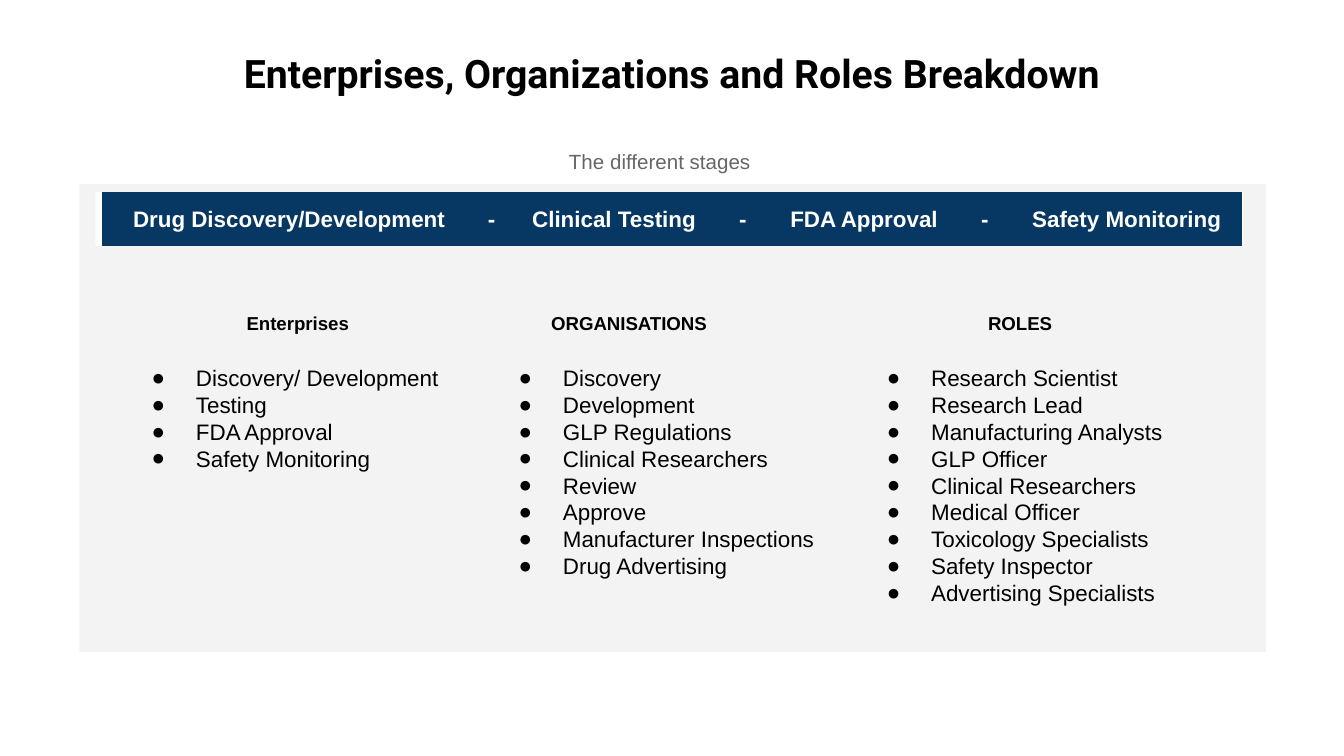
import pptx
import pptx.util
import pptx.dml.color
import pptx.enum.shapes
import pptx.enum.text
import pptx.oxml.ns
from lxml import etree

Inches = pptx.util.Inches
ALIGN = pptx.enum.text.PP_ALIGN
ANCHOR = pptx.enum.text.MSO_ANCHOR
FIT = pptx.enum.text.MSO_AUTO_SIZE

STAGES = ["Drug Discovery/Development", "Clinical Testing",
          "FDA Approval", "Safety Monitoring"]
STAGE_TABS = [2.64, 2.97, 4.51, 4.89, 6.31, 6.69]

# Heading, heading left and width, list left and height, list items
COLUMNS = [
    ("Enterprises", 1.69, 1.05, 0.86, 1.01,
     ["Discovery/ Development", "Testing", "FDA Approval",
      "Safety Monitoring"]),
    ("ORGANISATIONS", 3.91, 1.54, 3.59, 1.82,
     ["Discovery", "Development", "GLP Regulations", "Clinical Researchers",
      "Review", "Approve", "Manufacturer Inspections", "Drug Advertising"]),
    ("ROLES", 6.92, 1.34, 6.33, 2.02,
     ["Research Scientist", "Research Lead", "Manufacturing Analysts",
      "GLP Officer", "Clinical Researchers", "Medical Officer",
      "Toxicology Specialists", "Safety Inspector",
      "Advertising Specialists"]),
]


def paint(color, value):
    color.rgb = pptx.dml.color.RGBColor.from_string(value)


def add_node(parent, tag, **attrs):
    return etree.SubElement(parent, pptx.oxml.ns.qn(tag), attrs)


def set_frame(frame, fit=FIT.SHAPE_TO_FIT_TEXT, anchor=ANCHOR.TOP):
    frame.word_wrap = True
    frame.auto_size = fit
    frame.vertical_anchor = anchor
    frame.margin_left = frame.margin_right = Inches(0.1)
    frame.margin_top = frame.margin_bottom = Inches(0.1)


def style(frame, size, color="000000", bold=False, align=ALIGN.CENTER,
          font="Arial"):
    for para in frame.paragraphs:
        para.alignment = align
        for run in para.runs:
            run.font.name = font
            run.font.size = pptx.util.Pt(size)
            run.font.bold = bold
            paint(run.font.color, color)


def add_rect(slide, left, top, width, height, fill):
    rect = slide.shapes.add_shape(
        pptx.enum.shapes.MSO_SHAPE.RECTANGLE,
        Inches(left), Inches(top), Inches(width), Inches(height))
    rect.shadow.inherit = False
    rect.fill.solid()
    paint(rect.fill.fore_color, fill)
    rect.line.fill.background()
    return rect


def add_text(slide, text, left, top, width, height):
    box = slide.shapes.add_textbox(
        Inches(left), Inches(top), Inches(width), Inches(height))
    set_frame(box.text_frame)
    box.text_frame.text = text
    return box.text_frame


def set_title(slide, text):
    title = slide.shapes.title
    title.left, title.top = Inches(0), Inches(0.25)
    title.width, title.height = Inches(10), Inches(0.57)
    set_frame(title.text_frame, FIT.NONE, ANCHOR.BOTTOM)
    title.text_frame.text = text
    style(title.text_frame, 21, bold=True, font="Roboto")


def add_banner(slide):
    """Draw the stage bar, its names and dashes placed by tab stops."""
    frame = add_rect(slide, 0.76, 1.43, 8.48, 0.4, "073763").text_frame
    set_frame(frame)
    frame.margin_left, frame.margin_right = Inches(0.23), Inches(0)
    frame.text = "\t-\t".join(STAGES)
    tabs = add_node(frame.paragraphs[0]._p.get_or_add_pPr(), "a:tabLst")
    for stop in STAGE_TABS:
        add_node(tabs, "a:tab", pos=str(Inches(stop)), algn="l")
    style(frame, 12, "FFFFFF", bold=True, align=ALIGN.LEFT)


def add_list(slide, items, left, height):
    frame = add_text(slide, "\n".join(items), left, 2.61, 2.62, height)
    for para in frame.paragraphs:
        props = para._p.get_or_add_pPr()
        props.set("marL", str(Inches(0.5)))
        props.set("indent", str(Inches(-0.33)))
        add_node(add_node(props, "a:buClr"), "a:srgbClr", val="000000")
        add_node(props, "a:buSzPts", val="1200")
        add_node(props, "a:buFont", typeface="Arial")
        add_node(props, "a:buChar", char="●")
    style(frame, 12, align=ALIGN.LEFT)


def main():
    deck = pptx.Presentation()
    deck.slide_width = Inches(10)
    deck.slide_height = deck.slide_width * 9 // 16
    slide = deck.slides.add_slide(deck.slide_layouts[5])

    add_rect(slide, 0.59, 1.37, 8.83, 3.48, "F3F3F3")
    add_rect(slide, 0.71, 1.43, 8.54, 0.4, "FFFFFF")
    set_title(slide, "Enterprises, Organizations and Roles Breakdown")
    add_banner(slide)
    for head, head_left, width, left, height, items in COLUMNS:
        frame = add_text(slide, head, head_left, 2.24, width, 0.37)
        style(frame, 10, bold=True)
        add_list(slide, items, left, height)

    frame = add_text(slide, "The different stages", -0.09, 0.98, 10, 0.39)
    frame.paragraphs[0].line_spacing = 1.15
    style(frame, 11, "666666")
    deck.save("out.pptx")


if __name__ == "__main__":
    main()
